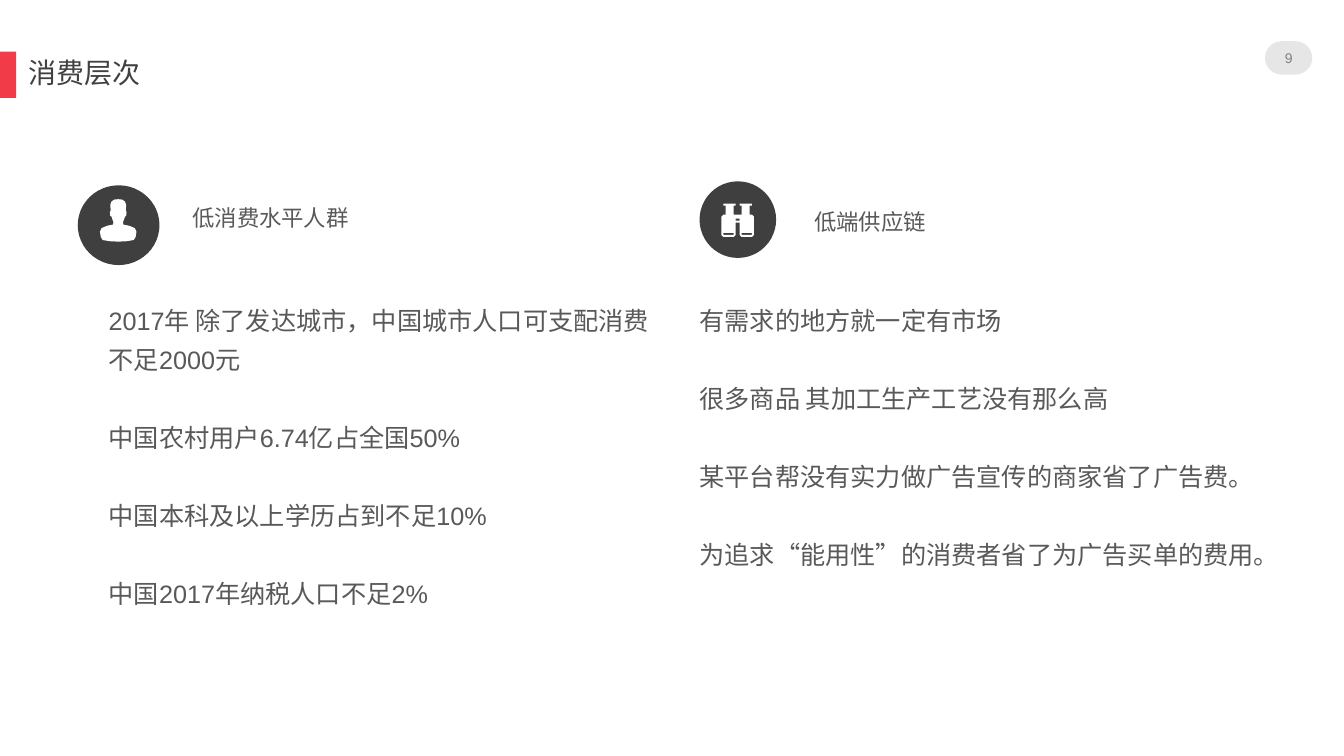
from pptx import Presentation
from pptx.dml.color import RGBColor
from pptx.enum.shapes import MSO_SHAPE as Shape
from pptx.enum.text import MSO_ANCHOR as Anchor, PP_ALIGN as Align
from pptx.util import Cm, Pt

RED = RGBColor(0xF2, 0x3B, 0x48)
PALE = RGBColor(0xE7, 0xE6, 0xE6)
DARK = RGBColor(0x3F, 0x3F, 0x3F)
WHITE = RGBColor(0xFF, 0xFF, 0xFF)
TITLE_INK = RGBColor(0x40, 0x40, 0x40)
NUMBER_INK = RGBColor(0x80, 0x80, 0x80)
BODY_INK = RGBColor(0x59, 0x59, 0x59)

prs = Presentation()
prs.slide_width, prs.slide_height = Cm(33.87), Cm(19.05)
slide = prs.slides.add_slide(prs.slide_layouts[6])


def paint(shape, color):
    shape.shadow.inherit = False
    shape.fill.solid()
    shape.fill.fore_color.rgb = color
    shape.line.fill.background()


def add_text(box, lines, size, color, anchor=Anchor.TOP, **paragraph_format):
    """Write one paragraph per line in a box without insets, given in cm."""
    frame = slide.shapes.add_textbox(*map(Cm, box)).text_frame
    frame_format = dict(word_wrap=True, vertical_anchor=anchor, margin_left=0,
                        margin_right=0, margin_top=0, margin_bottom=0)
    for name, value in frame_format.items():
        setattr(frame, name, value)
    frame.text = "\n".join(lines)
    for paragraph in frame.paragraphs:
        for name, value in paragraph_format.items():
            setattr(paragraph, name, value)
        font = paragraph.runs[0].font
        font.name, font.size, font.color.rgb = "Arial", Pt(size), color


# Header
for preset, box, color in [
    (Shape.RECTANGLE, (0, 1.3, 0.41, 1.17), RED),
    (Shape.ROUNDED_RECTANGLE, (31.88, 1.04, 1.19, 0.84), PALE),
]:
    mark = slide.shapes.add_shape(preset, *map(Cm, box))
    paint(mark, color)
mark.adjustments[0] = 0.5
add_text((0.71, 1.3, 10.59, 1.17), ["消费层次"], 20, TITLE_INK,
         Anchor.MIDDLE, line_spacing=0.9)
add_text((31.88, 0.91, 1.19, 1.09), ["9"], 10, NUMBER_INK,
         Anchor.MIDDLE, alignment=Align.CENTER)

# Icons: right half of each outline as (distance from axis, y), in 0.01 cm
person = [(0, 502), (10, 503), (17, 508), (20, 516), (19, 531), (21, 534),
          (20, 544), (17, 546), (15, 552), (12, 560), (13, 566), (28, 569),
          (42, 575), (46, 584), (44, 597), (39, 605), (20, 608), (0, 609)]
binoculars = [(0, 541), (10, 541), (10, 518), (5, 518), (5, 513), (36, 513),
              (36, 518), (30, 518), (30, 541), (36, 541), (41, 546), (41, 592),
              (36, 597), (10, 597), (5, 592), (5, 561), (0, 561)]
# Openings as (left, right, top, bottom), measured from the axis
binocular_slots = [(-36, -10, 587, 592), (-5, 5, 551, 556), (10, 36, 587, 592)]

columns = [
    dict(circle=(1.96, 4.67, 2.06, 2.01), axis=298, half=person, slots=[],
         heading_at=(4.85, 4.95), heading="低消费水平人群",
         body_box=(2.74, 7.47, 14.15, 8.41),
         points=["2017年 除了发达城市，中国城市人口可支配消费不足2000元",
                 "中国农村用户6.74亿占全国50%",
                 "中国本科及以上学历占到不足10%",
                 "中国2017年纳税人口不足2%"]),
    dict(circle=(17.63, 4.57, 1.93, 1.93), axis=1859, half=binoculars,
         slots=binocular_slots,
         heading_at=(20.52, 5.05), heading="低端供应链",
         body_box=(17.63, 7.47, 15.44, 8.69),
         points=["有需求的地方就一定有市场",
                 "很多商品 其加工生产工艺没有那么高",
                 "某平台帮没有实力做广告宣传的商家省了广告费。",
                 "为追求“能用性”的消费者省了为广告买单的费用。"]),
]

for column in columns:
    circle = slide.shapes.add_shape(Shape.OVAL, *map(Cm, column["circle"]))
    paint(circle, DARK)

    axis, half = column["axis"], column["half"]
    outline = [(axis + dx, y) for dx, y in half]
    outline += [(axis - dx, y) for dx, y in reversed(half)]
    icon = slide.shapes.build_freeform(*outline[0], scale=Cm(0.01))
    icon.add_line_segments(outline[1:])
    for left, right, top, bottom in column["slots"]:
        icon.move_to(axis + left, top)
        icon.add_line_segments([(axis + left, bottom), (axis + right, bottom),
                                (axis + right, top)])
    paint(icon.convert_to_shape(), WHITE)

    add_text((*column["heading_at"], 9.47, 1.19), [column["heading"]], 16,
             BODY_INK, line_spacing=1.3)
    add_text(column["body_box"], column["points"], 18, BODY_INK,
             line_spacing=1.3, space_after=Pt(27.5))

prs.save("out.pptx")
